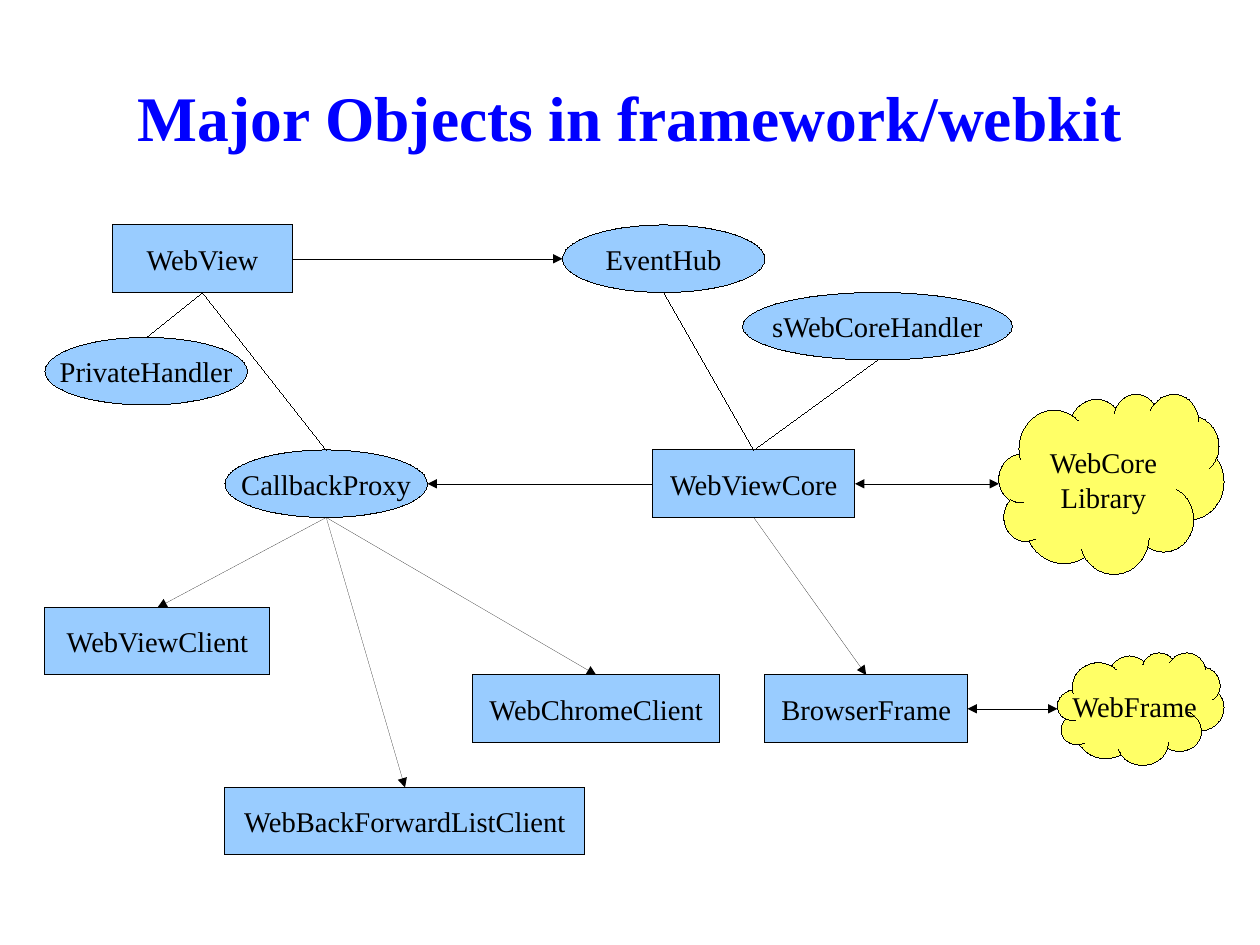
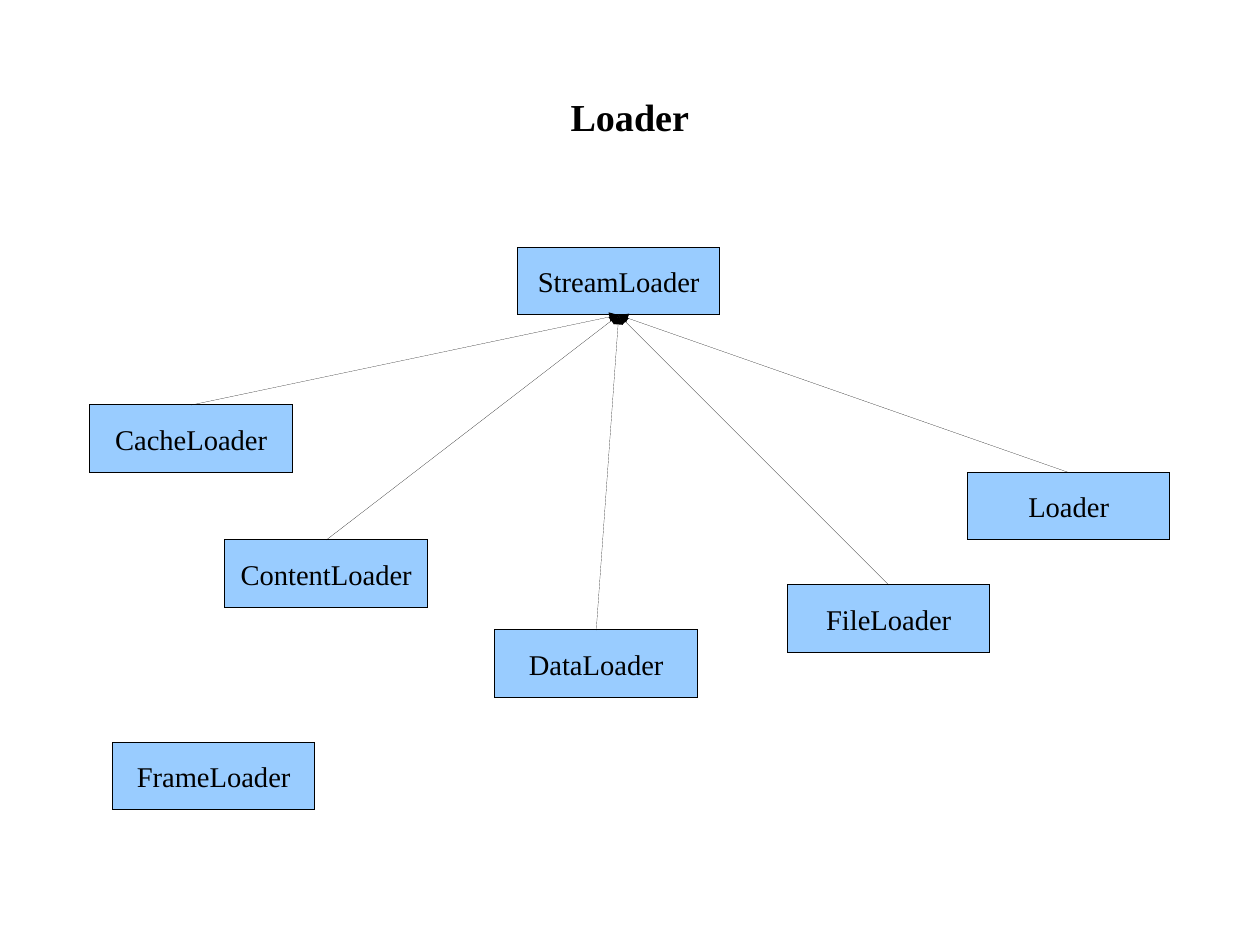
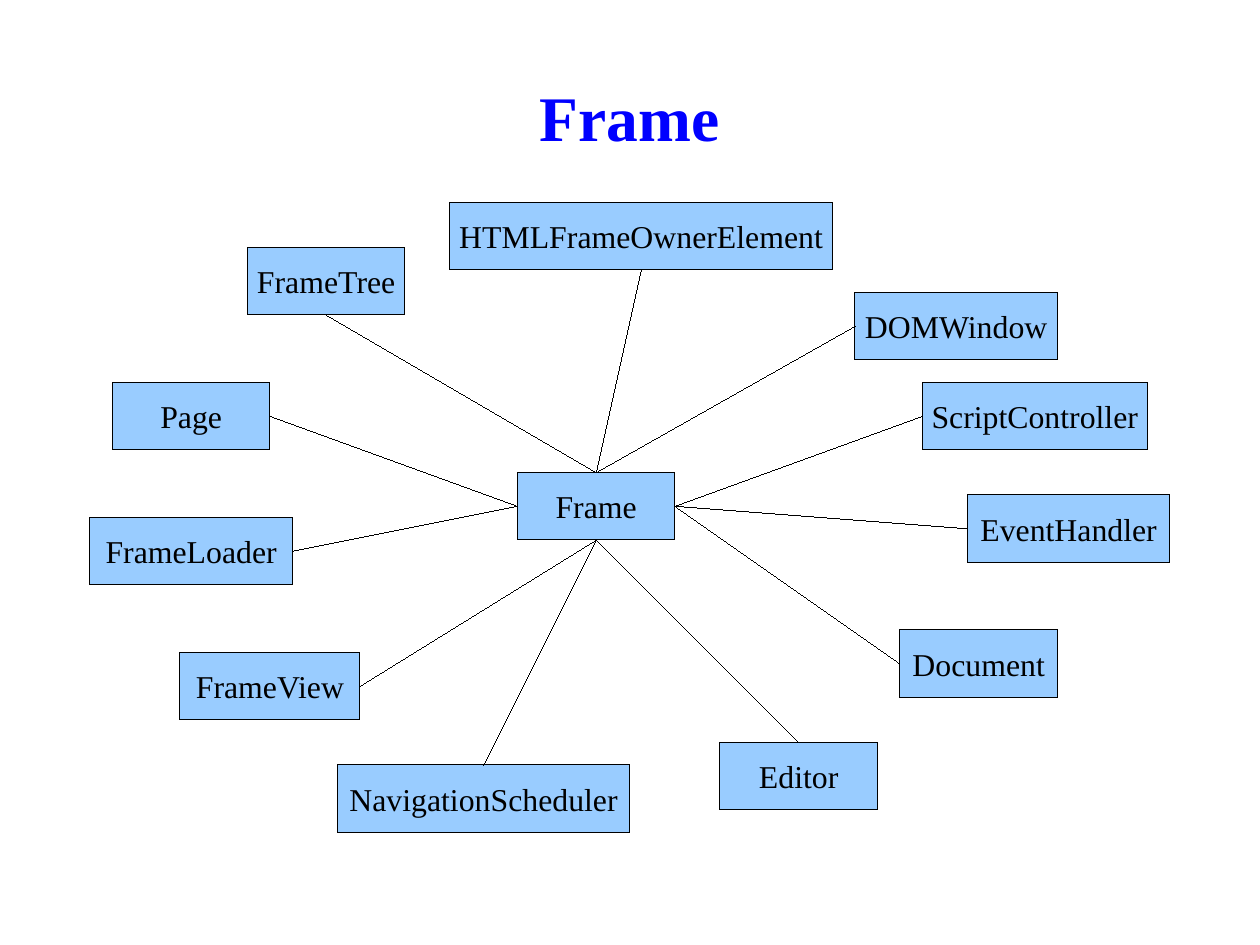
from collections import namedtuple

from lxml import etree
from pptx import Presentation, util as u
from pptx.dml.color import RGBColor
from pptx.enum import shapes, text
from pptx.oxml.ns import qn

FONT = "Times New Roman"
BLACK, BLUE = "000000", "0000FF"
SKY, YELLOW = "99CCFF", "FFFF66"
CM_PER_INCH = 2.54
SLIDE_WIDTH = u.Inches(28 / CM_PER_INCH)
SLIDE_HEIGHT = u.Inches(21 / CM_PER_INCH)
CELL = SLIDE_WIDTH / 56
HAIRLINE = u.Pt(0.01)
TITLE_BOX = (0.55, 0.38, 9.92, 1.28)

RECT = shapes.MSO_SHAPE.RECTANGLE
OVAL = shapes.MSO_SHAPE.OVAL
CLOUD = shapes.MSO_SHAPE.CLOUD
TOP, LEFT, BOTTOM, RIGHT = range(4)

Node = namedtuple("Node", "label left top width kind height", defaults=(RECT, 3))
Link = namedtuple("Link", "start start_side end end_side arrows", defaults=((),))
ONE_WAY = ("tailEnd",)
TWO_WAY = ("headEnd", "tailEnd")


def color(value):
    return RGBColor.from_string(value)


def write(frame, content, size, ink, bold=False):
    frame.vertical_anchor = text.MSO_ANCHOR.MIDDLE
    for index, line in enumerate(content.split("\n")):
        paragraph = frame.add_paragraph() if index else frame.paragraphs[0]
        paragraph.alignment = text.PP_ALIGN.CENTER
        run = paragraph.add_run()
        run.text = line
        run.font.name = FONT
        run.font.size = u.Pt(size)
        run.font.bold = bold
        run.font.color.rgb = color(ink)


def add_title(slide, content, size, ink):
    frame = slide.shapes.add_textbox(*map(u.Inches, TITLE_BOX)).text_frame
    frame.word_wrap = True
    frame.margin_left = frame.margin_right = 0
    frame.margin_top = frame.margin_bottom = 0
    write(frame, content, size, ink, bold=True)


def set_hairline(line):
    line.color.rgb = color(BLACK)
    line.width = HAIRLINE


def add_node(slide, origin, node, size):
    cells = (origin[0] + node.left, origin[1] + node.top, node.width, node.height)
    shape = slide.shapes.add_shape(node.kind, *(round(cell * CELL) for cell in cells))
    shape.shadow.inherit = False
    shape.fill.solid()
    shape.fill.fore_color.rgb = color(YELLOW if node.kind == CLOUD else SKY)
    set_hairline(shape.line)
    shape.text_frame.word_wrap = False
    write(shape.text_frame, node.label, size, BLACK)
    return shape


def side_point(shape, side):
    across = {LEFT: 0, RIGHT: shape.width}.get(side, shape.width // 2)
    down = {TOP: 0, BOTTOM: shape.height}.get(side, shape.height // 2)
    return shape.left + across, shape.top + down


def add_link(slide, placed, link):
    start, end = placed[link.start], placed[link.end]
    connector = slide.shapes.add_connector(
        shapes.MSO_CONNECTOR.STRAIGHT,
        *side_point(start, link.start_side),
        *side_point(end, link.end_side),
    )
    if start.auto_shape_type == RECT:
        connector.begin_connect(start, link.start_side)
    if end.auto_shape_type == RECT:
        connector.end_connect(end, link.end_side)
    set_hairline(connector.line)
    properties = connector._element.spPr
    for arrow in link.arrows:
        etree.SubElement(properties.find(qn("a:ln")), qn(f"a:{arrow}"), type="triangle")
    etree.SubElement(properties, qn("a:effectLst"))


def add_diagram(slide, origin, nodes, links, size=18):
    placed = {node.label: add_node(slide, origin, node, size) for node in nodes}
    for link in links:
        add_link(slide, placed, link)


def build_objects(slide):
    add_title(slide, "Major Objects in framework/webkit", 40, BLUE)
    library = "WebCore\nLibrary"
    nodes = [
        Node("WebView", 3, 0, 8),
        Node("WebViewCore", 27, 10, 9),
        Node("BrowserFrame", 32, 20, 9),
        Node("CallbackProxy", 8, 10, 9, OVAL),
        Node("EventHub", 23, 0, 9, OVAL),
        Node("sWebCoreHandler", 31, 3, 12, OVAL),
        Node("PrivateHandler", 0, 5, 9, OVAL),
        Node("WebViewClient", 0, 17, 10),
        Node("WebChromeClient", 19, 20, 11),
        Node("WebBackForwardListClient", 8, 25, 16),
        Node(library, 42.4, 7.5, 10, CLOUD, 8),
        Node("WebFrame", 45, 19, 7.4, CLOUD, 5),
    ]
    links = [
        Link("WebViewCore", TOP, "EventHub", BOTTOM),
        Link("WebViewCore", TOP, "sWebCoreHandler", BOTTOM),
        Link("WebView", BOTTOM, "CallbackProxy", TOP),
        Link("WebView", BOTTOM, "PrivateHandler", TOP),
        Link("WebViewCore", LEFT, "CallbackProxy", RIGHT, ONE_WAY),
        Link("WebView", RIGHT, "EventHub", LEFT, ONE_WAY),
        Link("WebViewCore", BOTTOM, "BrowserFrame", TOP, ONE_WAY),
        Link("WebViewCore", RIGHT, library, LEFT, TWO_WAY),
        Link("BrowserFrame", RIGHT, "WebFrame", LEFT, TWO_WAY),
    ]
    clients = ("WebViewClient", "WebChromeClient", "WebBackForwardListClient")
    links += [Link("CallbackProxy", BOTTOM, client, TOP, ONE_WAY) for client in clients]
    add_diagram(slide, (2, 10), nodes, links)


def build_loaders(slide):
    add_title(slide, "Loader", 24, BLACK)
    base = Node("StreamLoader", 19, 0, 9)
    loaders = [
        Node("DataLoader", 18, 17, 9),
        Node("Loader", 39, 10, 9),
        Node("FileLoader", 31, 15, 9),
        Node("ContentLoader", 6, 13, 9),
        Node("CacheLoader", 0, 7, 9),
    ]
    separate = Node("FrameLoader", 1, 22, 9)
    links = [Link(node.label, TOP, base.label, BOTTOM, ONE_WAY) for node in loaders]
    add_diagram(slide, (4, 11), [base, *loaders, separate], links)


def build_frame(slide):
    add_title(slide, "Frame", 40, BLUE)
    center = Node("Frame", 19, 12, 7)
    members = [
        (Node("Page", 1, 8, 7), RIGHT, LEFT),
        (Node("FrameLoader", 0, 14, 9), RIGHT, LEFT),
        (Node("FrameView", 4, 20, 8), RIGHT, BOTTOM),
        (Node("Document", 36, 19, 7), LEFT, RIGHT),
        (Node("ScriptController", 37, 8, 10), LEFT, RIGHT),
        (Node("DOMWindow", 34, 4, 9), LEFT, TOP),
        (Node("FrameTree", 7, 2, 7), BOTTOM, TOP),
        (Node("EventHandler", 39, 13, 9), LEFT, RIGHT),
        (Node("HTMLFrameOwnerElement", 16, 0, 17), BOTTOM, TOP),
        (Node("NavigationScheduler", 11, 25, 13), TOP, BOTTOM),
        (Node("Editor", 28, 24, 7), TOP, BOTTOM),
    ]
    nodes = [center] + [node for node, _, _ in members]
    links = [Link(node.label, side, center.label, center_side)
             for node, side, center_side in members]
    add_diagram(slide, (4, 9), nodes, links, size=20)


def main():
    presentation = Presentation()
    presentation.slide_width = SLIDE_WIDTH
    presentation.slide_height = SLIDE_HEIGHT
    presentation.element.sldSz.attrib.pop("type", None)
    blank = presentation.slide_layouts[6]
    for build in (build_objects, build_loaders, build_frame):
        build(presentation.slides.add_slide(blank))
    presentation.save("out.pptx")


if __name__ == "__main__":
    main()
